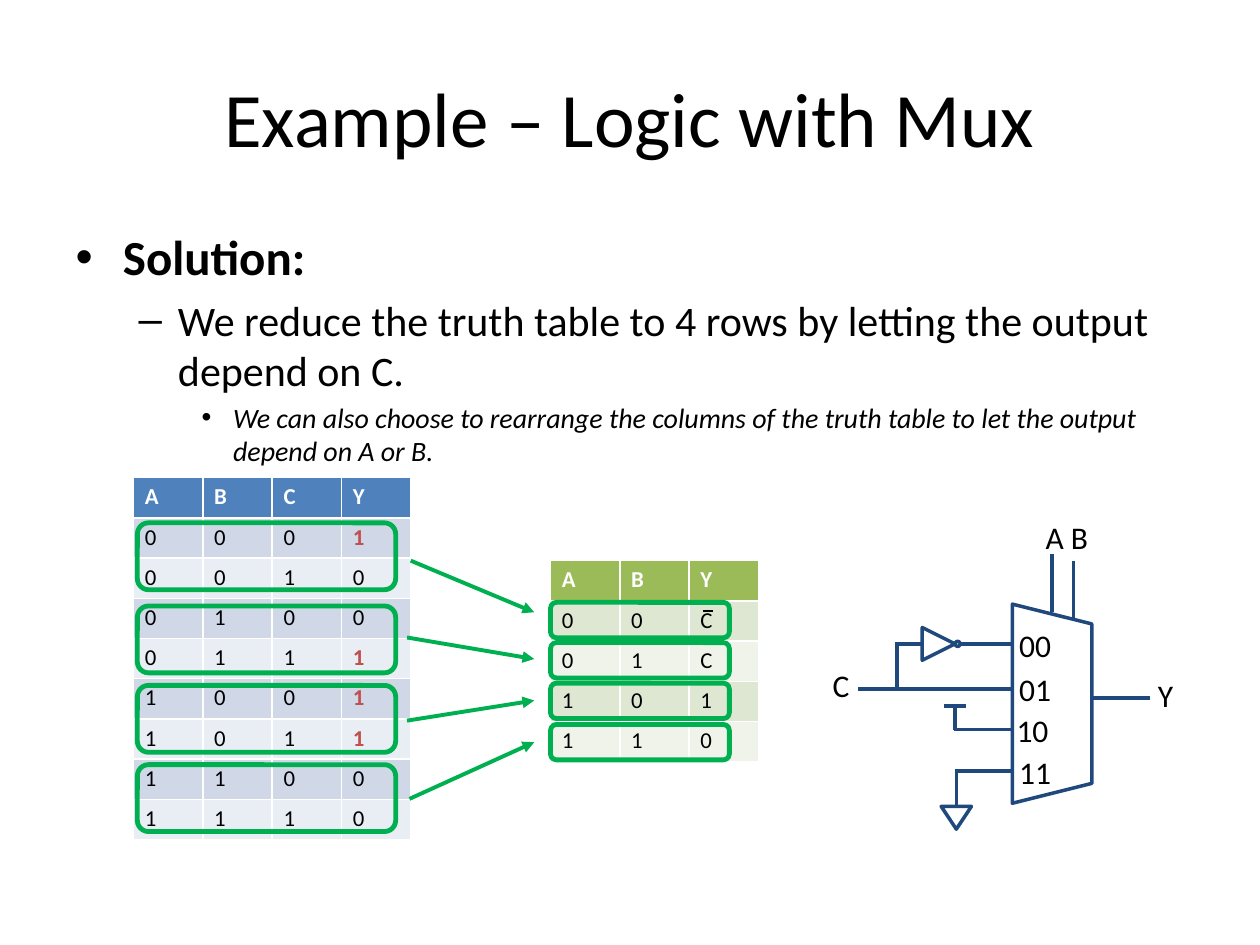
from dataclasses import dataclass

import pptx
import pptx.dml.color
import pptx.enum.shapes
import pptx.enum.text
import pptx.util
from lxml import etree
from pptx.oxml.ns import qn

Pt = pptx.util.Pt
SHAPE = pptx.enum.shapes.MSO_SHAPE
ANCHOR = pptx.enum.text.MSO_ANCHOR
ALIGN = pptx.enum.text.PP_ALIGN

BLACK, WHITE, RED = "000000", "FFFFFF", "C0504D"
GREEN, NAVY = "00B050", "1F497D"
COLUMN_WIDTH, ROW_HEIGHT = 39.6, 23


@dataclass
class TruthTable:
    left: float
    top: float
    rows: list[str]
    header_fill: str
    band_fills: tuple[str, str]
    mark_ones: bool = False  # ones in the last column are red and bold


@dataclass
class Wire:
    x1: float
    y1: float
    x2: float
    y2: float


@dataclass
class Label:
    text: str
    left: float
    top: float


@dataclass
class Symbol:
    kind: int
    left: float
    top: float
    width: float
    height: float
    rotation: float = 0
    fill: str | None = None


def rgb(code: str) -> pptx.dml.color.RGBColor:
    return pptx.dml.color.RGBColor.from_string(code)


def write(paragraph, text: str, *, size: float, color: str = BLACK, bold: bool = False,
          italic: bool = False, level: int = 0, align=None) -> None:
    paragraph.level = level
    if align is not None:
        paragraph.alignment = align
    run = paragraph.add_run()
    run.text = text
    font = run.font
    font.name, font.size, font.bold, font.italic = "Calibri", Pt(size), bold, italic
    font.color.rgb = rgb(color)


def place(shape, left: float, top: float, width: float, height: float) -> None:
    shape.left, shape.top, shape.width, shape.height = map(Pt, (left, top, width, height))


def draw_table(shapes, spec: TruthTable) -> None:
    column_count = len(spec.rows[0])
    table = shapes.add_table(
        len(spec.rows), column_count, Pt(spec.left), Pt(spec.top),
        Pt(COLUMN_WIDTH * column_count), Pt(ROW_HEIGHT * len(spec.rows))).table
    for column in table.columns:
        column.width = Pt(COLUMN_WIDTH)
    for r, values in enumerate(spec.rows):
        table.rows[r].height = Pt(ROW_HEIGHT)
        for c, value in enumerate(values):
            cell = table.cell(r, c)
            cell.margin_left = cell.margin_right = Pt(6.5)
            cell.margin_top = cell.margin_bottom = Pt(3.25)
            cell.fill.solid()
            cell.fill.fore_color.rgb = rgb(spec.band_fills[(r - 1) % 2] if r else spec.header_fill)
            marked = spec.mark_ones and c == column_count - 1 and value == "1"
            color = WHITE if r == 0 else RED if marked else BLACK
            write(cell.text_frame.paragraphs[0], value, size=13, color=color,
                  bold=r == 0 or marked)


def draw_symbol(shapes, symbol: Symbol, color: str = NAVY, weight: float = 2) -> None:
    shape = shapes.add_shape(symbol.kind, 0, 0, 0, 0)
    place(shape, symbol.left, symbol.top, symbol.width, symbol.height)
    shape.rotation = symbol.rotation
    shape.shadow.inherit = False
    shape.line.color.rgb = rgb(color)
    shape.line.width = Pt(weight)
    if symbol.fill:
        shape.fill.solid()
        shape.fill.fore_color.rgb = rgb(symbol.fill)
    else:
        shape.fill.background()


def draw_wire(shapes, wire: Wire, color: str = NAVY, weight: float = 2,
              arrow: bool = False) -> None:
    connector = shapes.add_connector(
        pptx.enum.shapes.MSO_CONNECTOR.STRAIGHT,
        Pt(wire.x1), Pt(wire.y1), Pt(wire.x2), Pt(wire.y2))
    connector.line.color.rgb = rgb(color)
    connector.line.width = Pt(weight)
    if arrow:
        etree.SubElement(connector.line._get_or_add_ln(), qn("a:tailEnd"), type="triangle")
    etree.SubElement(connector._element.spPr, qn("a:effectLst"))


def draw_label(shapes, label: Label) -> None:
    box = shapes.add_textbox(Pt(label.left), Pt(label.top), Pt(62), Pt(29))
    box.text_frame.word_wrap = True
    write(box.text_frame.paragraphs[0], label.text, size=18)


FULL_TABLE = TruthTable(
    76.3, 272.9,
    ["ABCY", "0001", "0010", "0100", "0111", "1001", "1011", "1100", "1110"],
    "4F81BD", ("D0D8E8", "E9EDF4"), mark_ones=True)
REDUCED_TABLE = TruthTable(
    314.6, 320.4, ["ABY", "00C", "01C", "101", "110"], "9BBB59", ("DEE7D1", "EFF3EA"))

PAIR_TOPS = [298.8, 346.3, 391.7, 437]
REDUCED_TOPS = [344.2, 367.2, 390.4, 414]
ARROWS = [
    Wire(234.7, 320.4, 305.3, 349.9),
    Wire(232.6, 364.3, 305.3, 376.6),
    Wire(232.6, 411.8, 305.3, 400.3),
    Wire(234, 456.5, 305.3, 424.1),
]
C_BAR = Wire(401.8, 349.2, 407.5, 349.2)

MUX_LEFT, INVERTER_Y, C_Y = 578.2, 367.9, 393.8
WIRES = [
    Wire(657.4, 398.9, 624.2, 398.9),  # output Y
    Wire(601.2, 316.8, 601.2, 349.9),  # select A
    Wire(613.4, 320.4, 613.4, 353.5),  # select B
    Wire(MUX_LEFT, C_Y, 490.3, C_Y),  # input 01
    Wire(512.6, C_Y, 512.6, 366.8),  # branch to the inverter
    Wire(512.6, INVERTER_Y, 527, INVERTER_Y),
    Wire(548.6, INVERTER_Y, MUX_LEFT, INVERTER_Y),  # input 00
    Wire(MUX_LEFT, 416.9, 545, 416.9),  # input 10, to supply
    Wire(545.8, 403.6, 545.8, 416.9),
    Wire(539.3, 403.4, 552.2, 403.4),
    Wire(MUX_LEFT, 440.6, 545.8, 440.6),  # input 11, to ground
    Wire(546.5, 440, 546.5, 460.8),
]
SYMBOLS = [
    Symbol(SHAPE.TRAPEZOID, 544.3, 379.4, 113.8, 45.4, 90),  # mux
    Symbol(SHAPE.ISOSCELES_TRIANGLE, 537.8, 460.8, 17.3, 13, 180),  # ground
    Symbol(SHAPE.ISOSCELES_TRIANGLE, 527, 358.6, 18.7, 18.7, 90, WHITE),  # inverter
    Symbol(SHAPE.OVAL, 545.8, 366.5, 2.9, 2.9, 0, WHITE),
]
LABELS = [
    Label("Y", 654.5, 383), Label("A B", 590.4, 292.3), Label("C", 468.7, 377.3),
    Label("00", 575.3, 354.2), Label("01", 575.3, 379.4),
    Label("10", 573.8, 402.5), Label("11", 575.3, 427),
]


def main() -> None:
    deck = pptx.Presentation()
    deck.slide_width, deck.slide_height = Pt(720), Pt(540)
    slide = deck.slides.add_slide(deck.slide_layouts[1])
    shapes = slide.shapes

    title = shapes.title
    place(title, 36, 21.6, 648, 90)
    title.text_frame.vertical_anchor = ANCHOR.MIDDLE
    write(title.text_frame.paragraphs[0], "Example – Logic with Mux", size=44,
          align=ALIGN.CENTER)

    solution = slide.placeholders[1]
    place(solution, 36, 126, 648, 356.4)
    frame = solution.text_frame
    write(frame.paragraphs[0], "Solution:", size=28, bold=True)
    write(frame.add_paragraph(), "We reduce the truth table to 4 rows by letting the output "
          "depend on C.", size=24, level=1)
    write(frame.add_paragraph(), "We can also choose to rearrange the columns of the truth "
          "table to let the output depend on A or B.", size=16, italic=True, level=2)

    draw_table(shapes, FULL_TABLE)
    draw_table(shapes, REDUCED_TABLE)
    for pair_top, reduced_top, arrow in zip(PAIR_TOPS, REDUCED_TOPS, ARROWS):
        draw_symbol(shapes, Symbol(SHAPE.ROUNDED_RECTANGLE, 78.5, pair_top, 147.6, 38.2),
                    GREEN, 2.75)
        draw_symbol(shapes, Symbol(SHAPE.ROUNDED_RECTANGLE, 314.6, reduced_top, 102.2, 20.2),
                    GREEN, 2.75)
        draw_wire(shapes, arrow, GREEN, 2.25, arrow=True)
    draw_wire(shapes, C_BAR, BLACK, 1.25)

    for wire in WIRES:
        draw_wire(shapes, wire)
    for symbol in SYMBOLS:
        draw_symbol(shapes, symbol)
    for label in LABELS:
        draw_label(shapes, label)

    deck.save("out.pptx")


if __name__ == "__main__":
    main()
